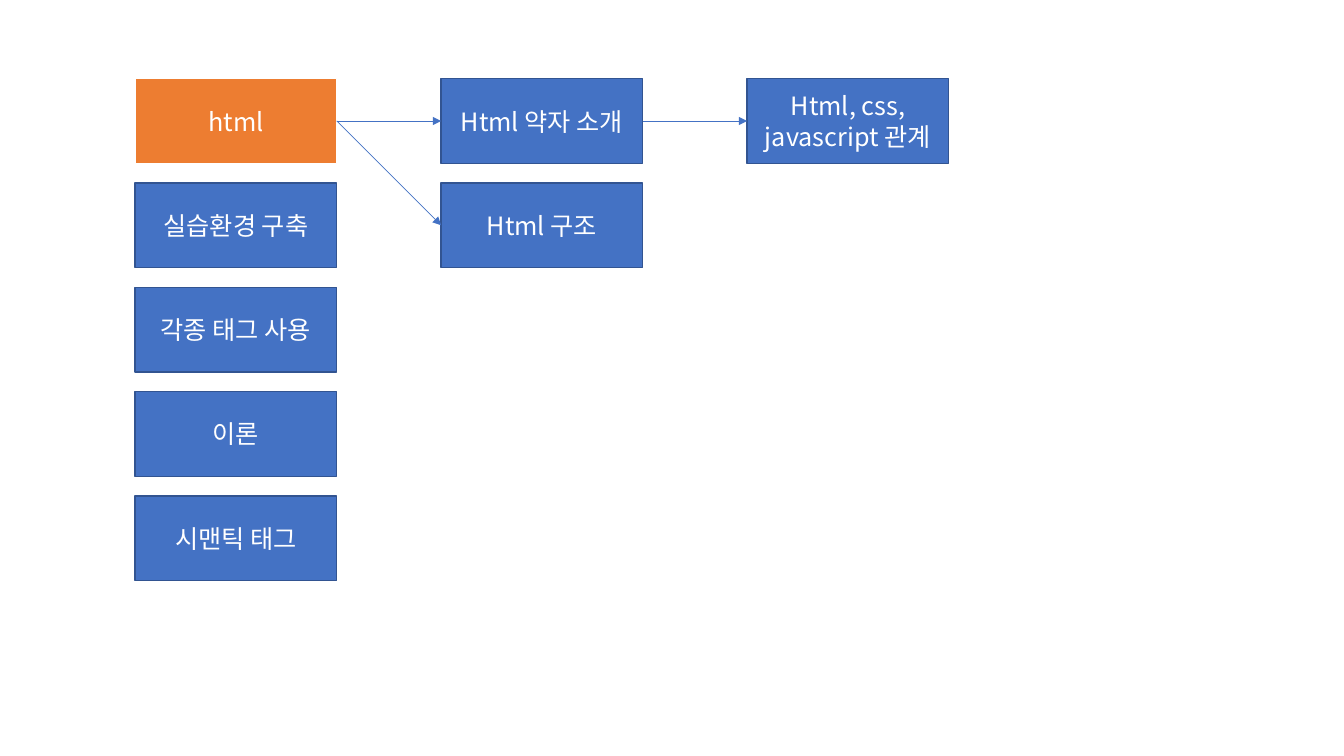
from dataclasses import dataclass

from lxml import etree
from pptx import Presentation
from pptx.dml.color import RGBColor
from pptx.enum.shapes import MSO_CONNECTOR, MSO_SHAPE
from pptx.enum.text import MSO_ANCHOR, PP_ALIGN
from pptx.oxml.ns import qn
from pptx.shapes.autoshape import Shape
from pptx.slide import Slide
from pptx.util import Inches, Pt

WHITE = RGBColor(0xFF, 0xFF, 0xFF)
ORANGE = RGBColor(0xED, 0x7D, 0x31)
BLUE = RGBColor(0x44, 0x72, 0xC4)
NAVY = RGBColor(0x32, 0x54, 0x91)
FONT = "Noto Sans CJK KR"

GRID_LEFT, GRID_TOP = 1.34, 0.78
BOX_WIDTH, BOX_HEIGHT = 2.0, 0.84
COLUMN_PITCH = (7.41 - GRID_LEFT) / 2
ROW_PITCH = (4.92 - GRID_TOP) / 4
LEFT_SITE, RIGHT_SITE = 1, 3


@dataclass(frozen=True)
class Topic:
    text: str
    column: int
    row: int
    fill: RGBColor = BLUE
    border: RGBColor = NAVY


@dataclass(frozen=True)
class Link:
    source: Topic
    target: Topic


HTML = Topic("html", 0, 0, ORANGE, WHITE)
MEANING = Topic("Html 약자 소개", 1, 0)
RELATION = Topic("Html, css, javascript 관계", 2, 0)
STRUCTURE = Topic("Html 구조", 1, 1)
TOPICS = [
    HTML,
    Topic("실습환경 구축", 0, 1),
    Topic("각종 태그 사용", 0, 2),
    Topic("이론", 0, 3),
    Topic("시맨틱 태그", 0, 4),
    MEANING,
    RELATION,
    STRUCTURE,
]
LINKS = [Link(HTML, MEANING), Link(MEANING, RELATION), Link(HTML, STRUCTURE)]


def draw_topic(slide: Slide, topic: Topic) -> Shape:
    box = slide.shapes.add_shape(
        MSO_SHAPE.RECTANGLE,
        Inches(GRID_LEFT + topic.column * COLUMN_PITCH),
        Inches(GRID_TOP + topic.row * ROW_PITCH),
        Inches(BOX_WIDTH),
        Inches(BOX_HEIGHT),
    )
    box.shadow.inherit = False
    box.fill.solid()
    box.fill.fore_color.rgb = topic.fill
    box.line.color.rgb = topic.border
    box.line.width = Pt(1)
    frame = box.text_frame
    frame.word_wrap = True
    frame.vertical_anchor = MSO_ANCHOR.MIDDLE
    paragraph = frame.paragraphs[0]
    paragraph.alignment = PP_ALIGN.CENTER
    run = paragraph.add_run()
    run.text = topic.text
    run.font.size = Pt(18)
    run.font.name = FONT
    run.font.color.rgb = WHITE
    etree.SubElement(run.font._element, qn("a:ea"), typeface=FONT)
    return box


def draw_link(slide: Slide, source: Shape, target: Shape) -> None:
    arrow = slide.shapes.add_connector(MSO_CONNECTOR.STRAIGHT, 0, 0, 0, 0)
    arrow.begin_connect(source, RIGHT_SITE)
    arrow.end_connect(target, LEFT_SITE)
    arrow.line.color.rgb = BLUE
    arrow.line.width = Pt(0.5)
    properties = arrow._element.spPr
    etree.SubElement(properties.find(qn("a:ln")), qn("a:tailEnd"), type="triangle")
    etree.SubElement(properties, qn("a:effectLst"))


def main() -> None:
    deck = Presentation()
    deck.slide_width, deck.slide_height = Inches(13.33), Inches(7.5)
    slide = deck.slides.add_slide(deck.slide_layouts[6])
    boxes = {topic: draw_topic(slide, topic) for topic in TOPICS}
    for link in LINKS:
        draw_link(slide, boxes[link.source], boxes[link.target])
    deck.save("out.pptx")


main()
